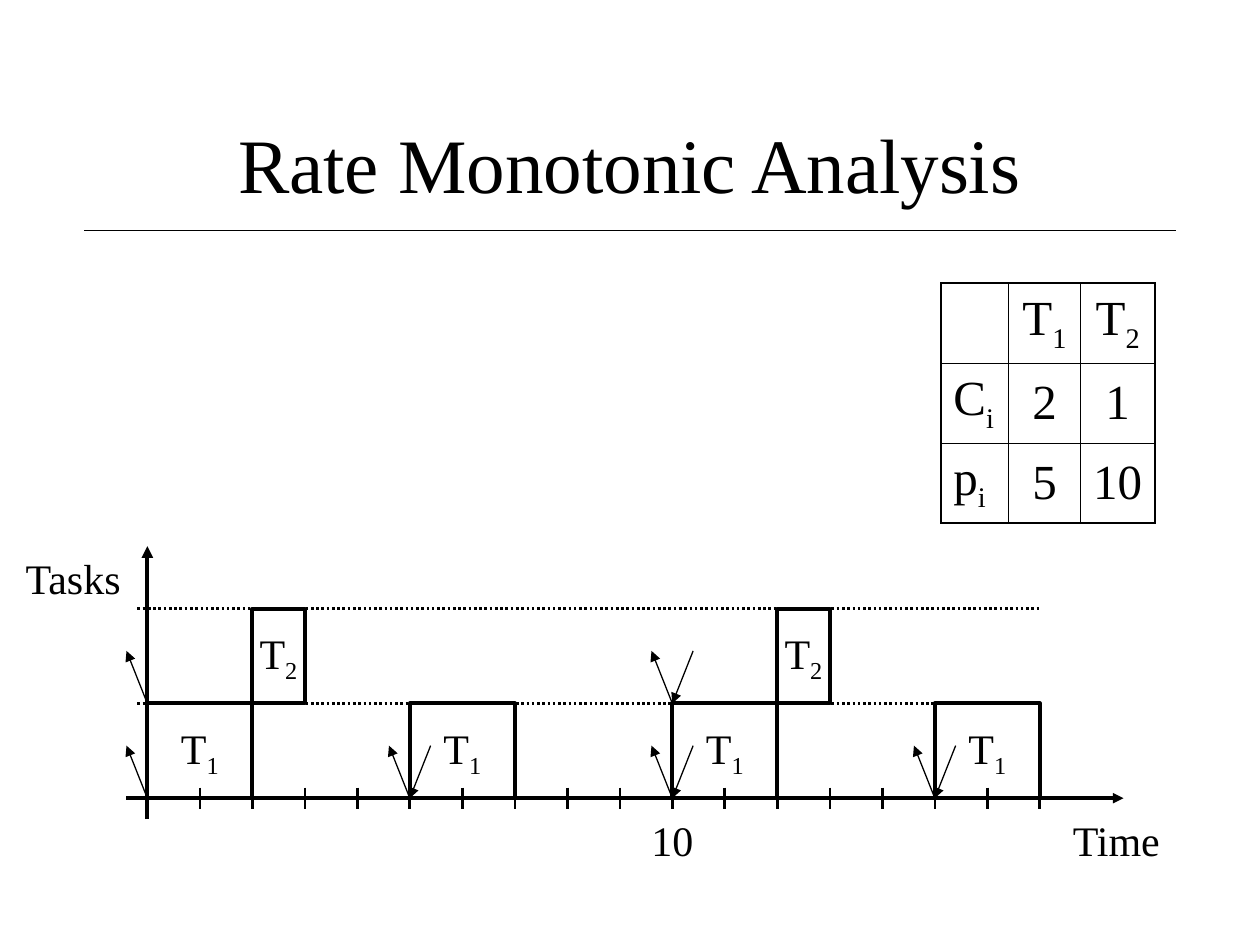
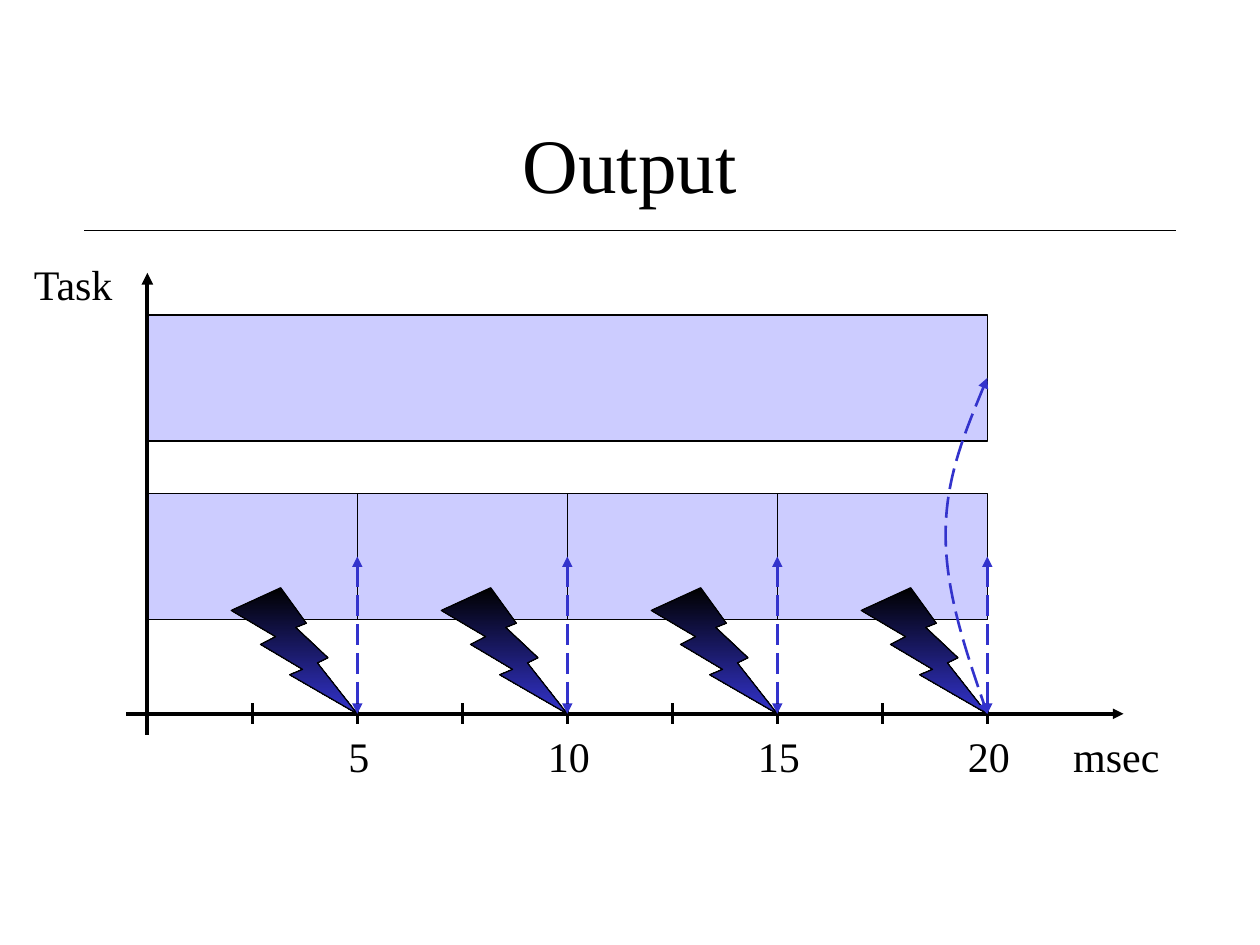
from lxml import etree
from pptx import Presentation, util as u
from pptx.dml.color import RGBColor
from pptx.enum import dml, shapes, text
from pptx.oxml.ns import qn

BLACK = RGBColor(0x00, 0x00, 0x00)
BLUE = RGBColor(0x33, 0x33, 0xCC)
LAVENDER = RGBColor(0xCC, 0xCC, 0xFF)
FONT = "Times New Roman"
DOTTED = dml.MSO_LINE.ROUND_DOT
DASHED = dml.MSO_LINE.LONG_DASH
ORIGIN = 2.97
UNIT = 12.7 / 12
ROW = 1.91
TICK = 0.21
BAR_WIDTH = 16 * UNIT
BAR_HEIGHT = 2.54
NUMBER_WIDTH = 1.8

pending_texts = []


def add_box(slide, kind, area, content="", size=24, line_width=0.75, fill=None):
    lengths = [u.Cm(value) for value in area]
    if kind is None:
        shape = slide.shapes.add_textbox(*lengths)
    else:
        shape = slide.shapes.add_shape(kind, *lengths)
        shape.shadow.inherit = False
        shape.line.color.rgb = BLACK
        shape.line.width = u.Pt(line_width)
        if fill is None:
            shape.fill.background()
        else:
            shape.fill.solid()
            shape.fill.fore_color.rgb = fill
    frame_format = {"word_wrap": False, "vertical_anchor": text.MSO_ANCHOR.MIDDLE}
    for name, value in frame_format.items():
        setattr(shape.text_frame, name, value)
    if content:
        pending_texts.append((shape.text_frame, content, size, text.PP_ALIGN.CENTER))
    return shape


def add_line(slide, points, width, color=BLACK, dash=None, ends=()):
    points = [(u.Cm(x), u.Cm(y)) for x, y in points]
    if len(points) == 2:
        line = slide.shapes.add_connector(
            shapes.MSO_CONNECTOR.STRAIGHT, *points[0], *points[1])
    else:
        builder = slide.shapes.build_freeform(*points[0])
        builder.add_line_segments(points[1:], close=False)
        line = builder.convert_to_shape()
        line.fill.background()
        segments = list(line._element.iter(qn("a:lnTo")))
        outline = segments[0].getparent()
        for start in range(0, len(segments), 3):
            curve = etree.SubElement(outline, qn("a:cubicBezTo"))
            for segment in segments[start:start + 3]:
                curve.append(segment[0])
                outline.remove(segment)
    line.line.color.rgb = color
    for name, value in {"width": u.Pt(width), "dash_style": dash}.items():
        setattr(line.line, name, value)
    for end in ends:
        etree.SubElement(line.line._get_or_add_ln(), qn(f"a:{end}End"), type="triangle")
    etree.SubElement(line._element.spPr, qn("a:effectLst"))
    return line


presentation = Presentation()
presentation.slide_width = u.Cm(25.4)
presentation.slide_height = u.Cm(19.05)

diagrams = [
    {"title": "Rate Monotonic Analysis", "base": 16.09, "top": 11.01, "label_top": 11.02,
     "labels": ("Tasks", "Time"), "ticks": range(1, 18), "bar_tops": []},
    {"title": "Output", "base": 14.39, "top": 5.5, "label_top": 5.08,
     "labels": ("Task", "msec"), "ticks": range(2, 17, 2), "bar_tops": [6.35, 9.95]},
]
slides = []
for diagram in diagrams:
    slide = presentation.slides.add_slide(presentation.slide_layouts[6])
    slides.append(slide)
    base = diagram["base"]
    bars = [
        add_box(slide, shapes.MSO_SHAPE.RECTANGLE,
                (ORIGIN, bar_top, BAR_WIDTH, BAR_HEIGHT), fill=LAVENDER)
        for bar_top in diagram["bar_tops"]
    ]
    add_box(slide, None, (1.9, 1.7, 21.6, 3.18), diagram["title"], 44)
    add_line(slide, [(1.7, 4.65), (23.7, 4.65)], 0.75)
    add_line(slide, [(2.54, base), (22.65, base)], 2, ends=["tail"])
    add_line(slide, [(ORIGIN, base + 0.42), (ORIGIN, diagram["top"])], 2.25, ends=["tail"])
    for tick in diagram["ticks"]:
        x = ORIGIN + tick * UNIT
        add_line(slide, [(x, base - TICK), (x, base + TICK)], 1.5)
    task_label, time_label = diagram["labels"]
    add_box(slide, None, (0.23, diagram["label_top"], 2.49, 1.27), task_label)
    add_box(slide, None, (21.37, base + TICK, 2.27, 1.27), time_label)

schedule_slide, output_slide = slides

base = diagrams[0]["base"]
add_box(schedule_slide, None,
        (ORIGIN + 10 * UNIT - NUMBER_WIDTH / 2, base + TICK, NUMBER_WIDTH, 1.27), "10")
tasks = [("T_1", 5, 0, 2, base), ("T_2", 10, 2, 1, base - ROW)]
for name, period, delay, duration, floor in tasks:
    add_line(schedule_slide, [(2.77, floor - ROW), (20.96, floor - ROW)], 1.5, dash=DOTTED)
    for release in range(0, 20, period):
        x = ORIGIN + release * UNIT
        add_box(schedule_slide, shapes.MSO_SHAPE.RECTANGLE,
                (x + delay * UNIT, floor - ROW, duration * UNIT, ROW), name, line_width=2.25)
        add_line(schedule_slide, [(x - 0.42, floor - UNIT), (x, floor)], 0.75, ends=["head"])
        if release:
            add_line(schedule_slide, [(x + 0.42, floor - UNIT), (x, floor)], 0.75, ends=["tail"])

task_values = [["", "T_1", "T_2"], ["C_i", "2", "1"], ["p_i", "5", "10"]]
column_widths = [1.36, 1.45, 1.5]
row_height = 1.61
last = len(task_values) - 1
table = schedule_slide.shapes.add_table(
    3, 3, u.Cm(18.97), u.Cm(5.71), u.Cm(sum(column_widths)), u.Cm(3 * row_height)).table
for name in ("first_row", "horz_banding"):
    setattr(table, name, False)
for column, width in zip(table.columns, column_widths):
    column.width = u.Cm(width)
for row_index, values in enumerate(task_values):
    table.rows[row_index].height = u.Cm(row_height)
    for column_index, value in enumerate(values):
        cell = table.cell(row_index, column_index)
        cell_format = {"vertical_anchor": text.MSO_ANCHOR.MIDDLE,
                       "margin_left": u.Cm(0.25), "margin_right": u.Cm(0.25)}
        for name, setting in cell_format.items():
            setattr(cell, name, setting)
        cell.fill.background()
        outer_sides = {"lnL": column_index == 0, "lnR": column_index == last,
                       "lnT": row_index == 0, "lnB": row_index == last}
        properties = cell._tc.get_or_add_tcPr()
        for position, (side, is_outer) in enumerate(outer_sides.items()):
            border = etree.Element(qn(f"a:{side}"), w=str(u.Pt(1.08 if is_outer else 0.45)))
            border_fill = etree.SubElement(border, qn("a:solidFill"))
            etree.SubElement(border_fill, qn("a:srgbClr"), val=str(BLACK))
            properties.insert(position, border)
        if value:
            alignment = text.PP_ALIGN.CENTER if column_index else text.PP_ALIGN.LEFT
            pending_texts.append((cell.text_frame, value, 28, alignment))

base = diagrams[1]["base"]
bar_top = diagrams[1]["bar_tops"][1]
bar_middle = bar_top + BAR_HEIGHT / 2
for milliseconds in (5, 10, 15, 20):
    x = ORIGIN + milliseconds / 5 * 4 * UNIT
    add_box(output_slide, None,
            (x + 0.03 - NUMBER_WIDTH / 2, base + TICK, NUMBER_WIDTH, 1.27), str(milliseconds))
    if milliseconds < 20:
        add_line(output_slide, [(x, bar_top + BAR_HEIGHT), (x, bar_top)], 0.75)
    bolt = add_box(output_slide, shapes.MSO_SHAPE.LIGHTNING_BOLT,
                   (x - 2.54, base - 2.54, 2.54, 2.54))
    bolt.fill.gradient()
    bolt.fill.gradient_angle = 270
    for stop, color in zip(bolt.fill.gradient_stops, (BLACK, BLUE)):
        stop.color.rgb = color
    interrupt = add_line(output_slide, [(x, bar_middle), (x, base)], 1.5, BLUE, DASHED,
                         ["head", "tail"])
interrupt.begin_connect(bars[1], 3)
end = ORIGIN + BAR_WIDTH
add_line(output_slide,
         [(end, 7.62), (end - 0.42, 8.64), (end - 0.84, 9.65), (end - 0.84, 10.77),
          (end - 0.84, 11.91), (end - 0.42, 13.16), (end, base)],
         1.5, BLUE, DASHED, ["head", "tail"])

for frame, content, size, alignment in pending_texts:
    paragraph = frame.paragraphs[0]
    paragraph.alignment = alignment
    for index, part in enumerate(content.split("_")):
        run = paragraph.add_run()
        run.text = part
        for name, value in {"name": FONT, "size": u.Pt(size), "bold": False}.items():
            setattr(run.font, name, value)
        run.font.color.rgb = BLACK
        if index:
            run._r.get_or_add_rPr().set("baseline", "-25000")

presentation.save("out.pptx")
